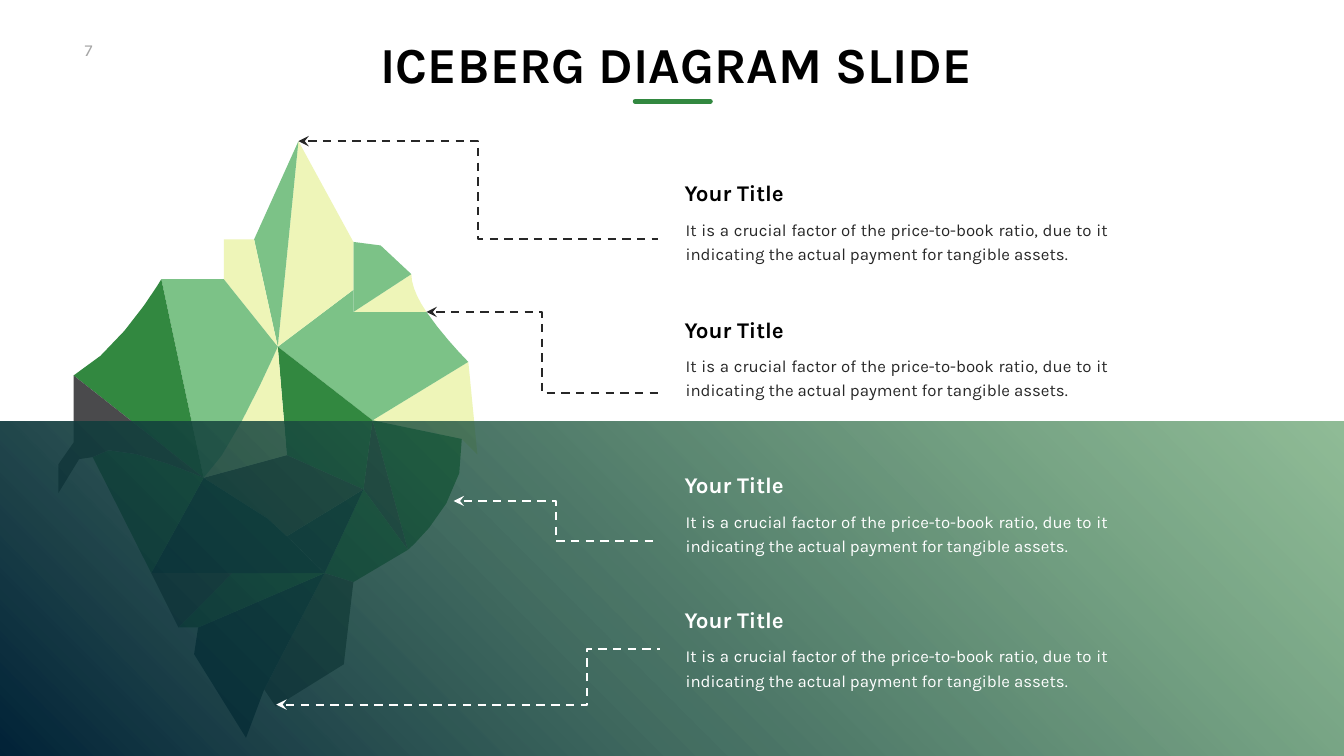
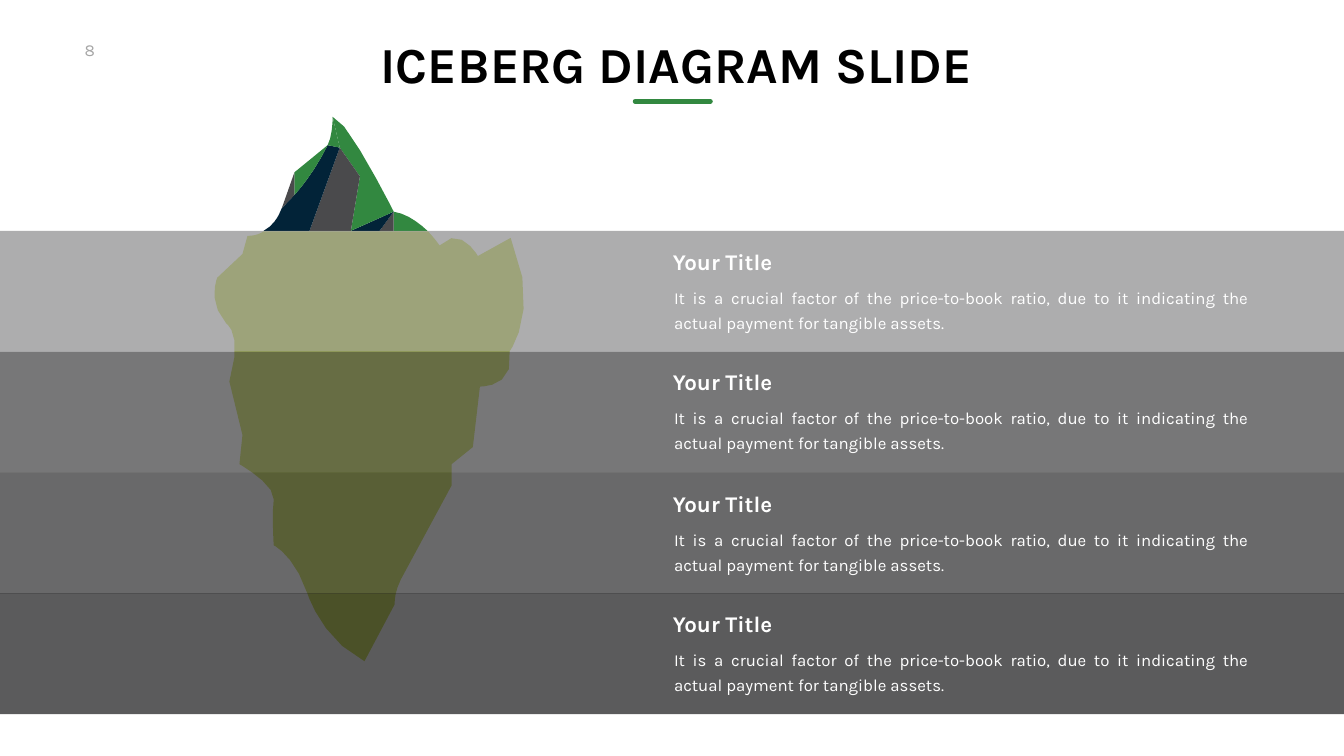
import pptx
import pptx.dml.color
import pptx.enum.dml
import pptx.enum.shapes
import pptx.enum.text
import pptx.oxml
import pptx.oxml.ns
import pptx.util

# Grid: 26.66 columns by 15 rows, square cells of one inch
COLS, ROWS = 26.66, 15
CELL = pptx.util.Inches(1)

# Palette
WHITE, BLACK, TEXT = "FFFFFF", "000000", "272727"
NAVY, GREEN, MINT, CREAM, SLATE = "022338", "328840", "7CC287", "EEF5B8", "4A4A4C"
LIME, LEAF, GREY = "BED62F", "428D4E", "A6A6A6"

# Text styles
HEADING = {"name": "Karla", "size": pptx.util.Pt(72), "bold": True}
SUBHEAD = {"name": "Karla", "size": pptx.util.Pt(32), "bold": True}
BODY = {"name": "Karla", "size": pptx.util.Pt(24)}
ALIGN = pptx.enum.text.PP_ALIGN
LABEL = "Your Title"
DETAIL = ("It is a crucial factor of the price-to-book ratio, due to it "
          "indicating the actual payment for tangible assets.")

# First iceberg: corners shared by several facets
PEAK, SADDLE, STEP, CLIFF = (5.92, 2.8), (5.04, 4.75), (4.44, 5.54), (7.01, 4.8)
LEDGE, HORN, NOTCH, SHORE = (7.01, 5.75), (8.16, 5.44), (8.46, 6.19), (9.29, 7.18)
INLET, HEART, EAST, RIM = (7.01, 6.19), (5.51, 6.88), (7.39, 8.34), (9.16, 8.71)
CORE, FLANK, FIN, KNOT = (5.69, 9.03), (7.21, 9.71), (8.09, 10.91), (5.69, 10.64)
WEST, SPUR, KEEL, HEEL = (4.04, 9.48), (5.31, 10.29), (6.44, 11.37), (7.01, 11.55)
DEEP, BEND, TOE, TUCK = (4.61, 11.37), (3, 11.37), (3.54, 12.45), (3.93, 12.45)
ROOT, BROW, TAIL, FOOT = (5.24, 13.68), (3.2, 5.54), (1.46, 7.45), (1.84, 9.07)

# A pair is a corner; six numbers are a curve (two controls and the end)
FACETS = [
    (CREAM, [SHORE, (9.47, 9.02), RIM, EAST]),
    (MINT, [SHORE, EAST, HEART, LEDGE, INLET, NOTCH, (8.8, 6.69, *SHORE, *SHORE)]),
    (GREEN, [RIM, (9.32, 9.88, *FIN, *FIN), EAST]),
    (CREAM, [NOTCH, INLET, HORN, (8.16, 5.66, 8.28, 5.93, *NOTCH)]),
    (MINT, [HORN, INLET, CLIFF, (7.55, 4.87)]),
    (SLATE, [EAST, FIN, FLANK]),
    (GREEN, [FLANK, FIN, HEEL, KEEL]),
    (GREEN, [EAST, FLANK, CORE, HEART]),
    (NAVY, [FLANK, KEEL, KNOT]),
    (SLATE, [FLANK, KNOT, SPUR, WEST, CORE]),
    (CREAM, [CLIFF, LEDGE, HEART, PEAK]),
    (SLATE, [HEEL, (6.82, 13.18), (5.47, 14.02), ROOT, KEEL]),
    (NAVY, [KEEL, ROOT, (4.88, 14.64), (3.85, 12.98), TUCK]),
    (GREEN, [KEEL, TUCK, TOE, DEEP]),
    (NAVY, [KEEL, BEND, WEST, SPUR, KNOT]),
    (MINT, [PEAK, HEART, SADDLE]),
    (CREAM, [HEART, CORE, WEST, (4.58, 9.02, *HEART, *HEART)]),
    (CREAM, [SADDLE, HEART, STEP, (4.44, 4.75)]),
    (MINT, [STEP, HEART, (*HEART, 4.58, 9.02, *WEST), BROW]),
    (SLATE, [DEEP, TOE, BEND]),
    (GREEN, [BROW, WEST, TAIL, (2.38, 6.95, *BROW, *BROW)]),
    (GREEN, [WEST, BEND, FOOT, (2.07, 8.61, 3.99, 9.46, *WEST)]),
    (SLATE, [TAIL, WEST, (3.99, 9.46, 2.07, 8.61, *FOOT), (1.57, 9.11),
             (1.16, 9.78), (1.16, 9.21), (1.46, 8.78)]),
]

# Arrows: tip, far end, share of the width at which the line bends, colour
ARROWS = [
    (PEAK, (13.05, 4.75), 0.5, TEXT),
    (NOTCH, (13.05, 7.8), 0.5, TEXT),
    ((9, 9.94), (13.05, 10.73), 0.5, WHITE),
    ((5.48, 13.98), (13.09, 12.87), 0.81, WHITE),
]

# Second iceberg: body under water, then the tip's shared corners and facets
SUBMERGED = [
    (10.13, 4.72), (10.74, 6.15, 10.11, 6.97, 10.11, 6.97),
    (10.23, 7.7, 9.52, 7.67, 9.52, 7.67), (9.38, 8.87), (8.96, 9.21), (8.96, 9.63),
    (7.95, 11.5), (7.81, 11.78, 7.83, 11.99, 7.83, 11.99), (7.23, 13.12),
    (6.38, 12.69, 6.1, 11.78, 6.1, 11.78), (5.84, 11.01, 5.43, 10.82, 5.43, 10.82),
    (5.43, 10.82, 5.39, 10.21, 5.43, 9.91), (5.46, 9.61, 4.75, 9.21, 4.75, 9.21),
    (4.81, 8.63), (4.55, 7.57), (4.83, 6.61, 4.49, 6.42, 4.49, 6.42),
    (4.1, 5.98, 4.31, 5.51, 4.31, 5.51), (4.81, 5.04), (4.91, 4.68),
    (5.04, 4.68, 5.14, 4.65, 5.23, 4.59), (8.49, 4.59),
    (8.63, 4.74, 8.72, 4.87, 8.72, 4.87), (9.12, 4.44, 9.48, 5.08, 9.48, 5.08),
]
TOP, CREST, NECK, ELBOW = (6.6, 2.32), (6.74, 2.93), (6.5, 2.88), (7.14, 3.5)
KNEE, BASE, MID, SIDE = (7.81, 4.2), (6.96, 4.58), (6.14, 4.58), (7.53, 4.58)
SHELF, GAP, DIP = (5.84, 3.42), (5.84, 3.87), (5.59, 4.13)
TIP = [
    (GREEN, [(8.48, 4.58), (7.81, 4.58), KNEE, (8.07, 4.24, 8.31, 4.42, 8.48, 4.58)]),
    (SLATE, [KNEE, (7.81, 4.58), SIDE]),
    (NAVY, [KNEE, SIDE, BASE]),
    (GREEN, [KNEE, BASE, ELBOW, CREST, TOP, (6.86, 2.31, *KNEE, *KNEE)]),
    (SLATE, [CREST, ELBOW, BASE, MID]),
    (NAVY, [CREST, MID, (5.23, 4.58), (5.46, 4.46, 5.55, 4.22, 5.55, 4.22), DIP,
            GAP, (6.03, 3.66, 6.29, 3.31, *NECK)]),
    (GREEN, [TOP, CREST, NECK, (6.6, 2.69, *TOP, *TOP)]),
    (GREEN, [SHELF, NECK, (6.29, 3.31, 6.03, 3.66, *GAP)]),
    (SLATE, [SHELF, GAP, DIP]),
]

# Depth bands: colour and top of the text
BANDS = [("929294", 4.87), (SLATE, 7.25), ("383839", 9.67), ("252526", 12.05)]


def rgb(color):
    return pptx.dml.color.RGBColor.from_string(color)


def cells(*counts):
    """Turn columns or rows into lengths."""
    return [round(n * CELL) for n in counts]


def add_xml(parent, tag, **attrs):
    el = pptx.oxml.parse_xml(f"<a:{tag} {pptx.oxml.ns.nsdecls('a')}/>")
    for key, value in attrs.items():
        el.set(key, str(value))
    parent.append(el)


def set_opacity(sp, percent):
    """Make the last fill colour of a shape see-through."""
    colors = sp._element.spPr.findall(".//" + pptx.oxml.ns.qn("a:srgbClr"))
    add_xml(colors[-1], "alpha", val=percent * 1000)


def flatten(outline, steps=5):
    """Replace each curve of an outline by short straight segments."""
    points = []
    for item in outline:
        if len(item) == 2:
            points.append(item)
            continue
        curve = (*points[-1], *item)
        for t in (i / steps for i in range(1, steps + 1)):
            weights = ((1 - t) ** 3, 3 * t * (1 - t) ** 2, 3 * t * t * (1 - t), t ** 3)
            points.append(tuple(sum(w * c for w, c in zip(weights, curve[axis::2]))
                                for axis in (0, 1)))
    return points


def add_facet(slide, color, outline):
    first, *rest = [cells(*point) for point in flatten(outline)]
    builder = slide.shapes.build_freeform(*first)
    builder.add_line_segments(rest, close=True)
    sp = builder.convert_to_shape()
    sp.shadow.inherit = False
    sp.fill.solid()
    sp.fill.fore_color.rgb = rgb(color)
    sp.line.fill.background()
    return sp


def add_iceberg(slide, facets):
    """Draw the facets, then group them so the group takes their extent."""
    slide.shapes.add_group_shape([add_facet(slide, *facet) for facet in facets])


def add_band(slide, top, height):
    """Add a full-width rectangle without outline; the caller fills it."""
    sp = slide.shapes.add_shape(pptx.enum.shapes.MSO_SHAPE.RECTANGLE,
                                *cells(0, top, COLS, height))
    sp.shadow.inherit = False
    sp.line.fill.background()
    return sp


def add_line(slide, kind, start, end, color, width):
    line = slide.shapes.add_connector(kind, *cells(*start, *end))
    line.line.color.rgb = rgb(color)
    line.line.width = pptx.util.Pt(width)
    add_xml(line._element.spPr, "effectLst")
    return line


def add_arrow(slide, tip, end, bend, color):
    line = add_line(slide, pptx.enum.shapes.MSO_CONNECTOR.ELBOW, tip, end, color, 3)
    line.line.dash_style = pptx.enum.dml.MSO_LINE.DASH
    add_xml(line.line._get_or_add_ln(), "headEnd", type="stealth", w="lg", len="lg")
    guides = line._element.spPr.find(".//" + pptx.oxml.ns.qn("a:avLst"))
    add_xml(guides, "gd", name="adj1", fmla=f"val {round(bend * 100000)}")


def add_text(slide, box, text, style, color, align=ALIGN.LEFT, insets=None, **frame):
    tf = slide.shapes.add_textbox(*cells(*box)).text_frame
    settings = {"word_wrap": False, **frame,
                "auto_size": pptx.enum.text.MSO_AUTO_SIZE.SHAPE_TO_FIT_TEXT}
    for side, inset in zip(("left", "top", "right", "bottom"), insets or ()):
        settings["margin_" + side] = cells(inset)[0]
    for key, value in settings.items():
        setattr(tf, key, value)
    p = tf.paragraphs[0]
    p.alignment = align
    r = p.add_run()
    r.text = text
    for key, value in style.items():
        setattr(r.font, key, value)
    r.font.color.rgb = rgb(color)
    return p


def add_block(slide, left, top, width, title_color, body_color):
    """Add a subheading with its justified paragraph below."""
    add_text(slide, (left, top, 2.35, 0.64), LABEL, SUBHEAD, title_color,
             vertical_anchor=pptx.enum.text.MSO_ANCHOR.MIDDLE)
    p = add_text(slide, (left - 0.12, top + 0.64, width, 1.19), DETAIL, BODY, body_color,
                 ALIGN.JUSTIFY, (0.24, 0.12, 0.24, 0.12), word_wrap=True)
    p.line_spacing = pptx.util.Pt(35)


def add_slide(prs, number):
    """Start a slide with the shared page number, title and underline."""
    slide = prs.slides.add_slide(prs.slide_layouts[6])
    p = add_text(slide, (1.58, 0.74, 0.75, 0.5), str(number), BODY, GREY)
    p.runs[0].font._element.set("spc", "300")
    rule = add_line(slide, pptx.enum.shapes.MSO_CONNECTOR.STRAIGHT,
                    (12.6, 2.01), (14.09, 2.01), GREEN, 7)
    rule.line._get_or_add_ln().set("cap", "rnd")
    add_text(slide, (7.17, 0.65, 12.39, 1.21), "ICEBERG DIAGRAM SLIDE", HEADING, BLACK,
             ALIGN.CENTER, (0.1, 0, 0, 0))
    return slide


def add_sea(slide, top):
    sp = add_band(slide, top, ROWS - top)
    sp.fill.gradient()
    sp.fill.gradient_angle = 45
    for stop, color in zip(sp.fill.gradient_stops, (NAVY, LEAF)):
        stop.color.rgb = rgb(color)
    set_opacity(sp, 59)


def build_waterline(prs):
    slide = add_slide(prs, 7)
    add_iceberg(slide, FACETS)
    add_sea(slide, 8.36)
    for arrow in ARROWS:
        add_arrow(slide, *arrow)
    for top in (3.51, 6.21):
        add_block(slide, 13.48, top, 8.86, BLACK, TEXT)
    for top in (9.3, 11.97):
        add_block(slide, 13.48, top, 8.86, WHITE, WHITE)


def build_depths(prs):
    slide = add_slide(prs, 8)
    add_facet(slide, LIME, SUBMERGED)
    add_iceberg(slide, TIP)
    first, last = 4.58, 11.77
    pitch = (last - first) / (len(BANDS) - 1)
    for i, (color, text_top) in enumerate(BANDS):
        sp = add_band(slide, first + i * pitch, 2.4)
        sp.fill.solid()
        sp.fill.fore_color.rgb = rgb(color)
        set_opacity(sp, 75)
        add_block(slide, 13.25, text_top, 11.87, WHITE, WHITE)


def main():
    prs = pptx.Presentation()
    prs.slide_width, prs.slide_height = cells(COLS, ROWS)
    build_waterline(prs)
    build_depths(prs)
    prs.save("out.pptx")


if __name__ == "__main__":
    main()
